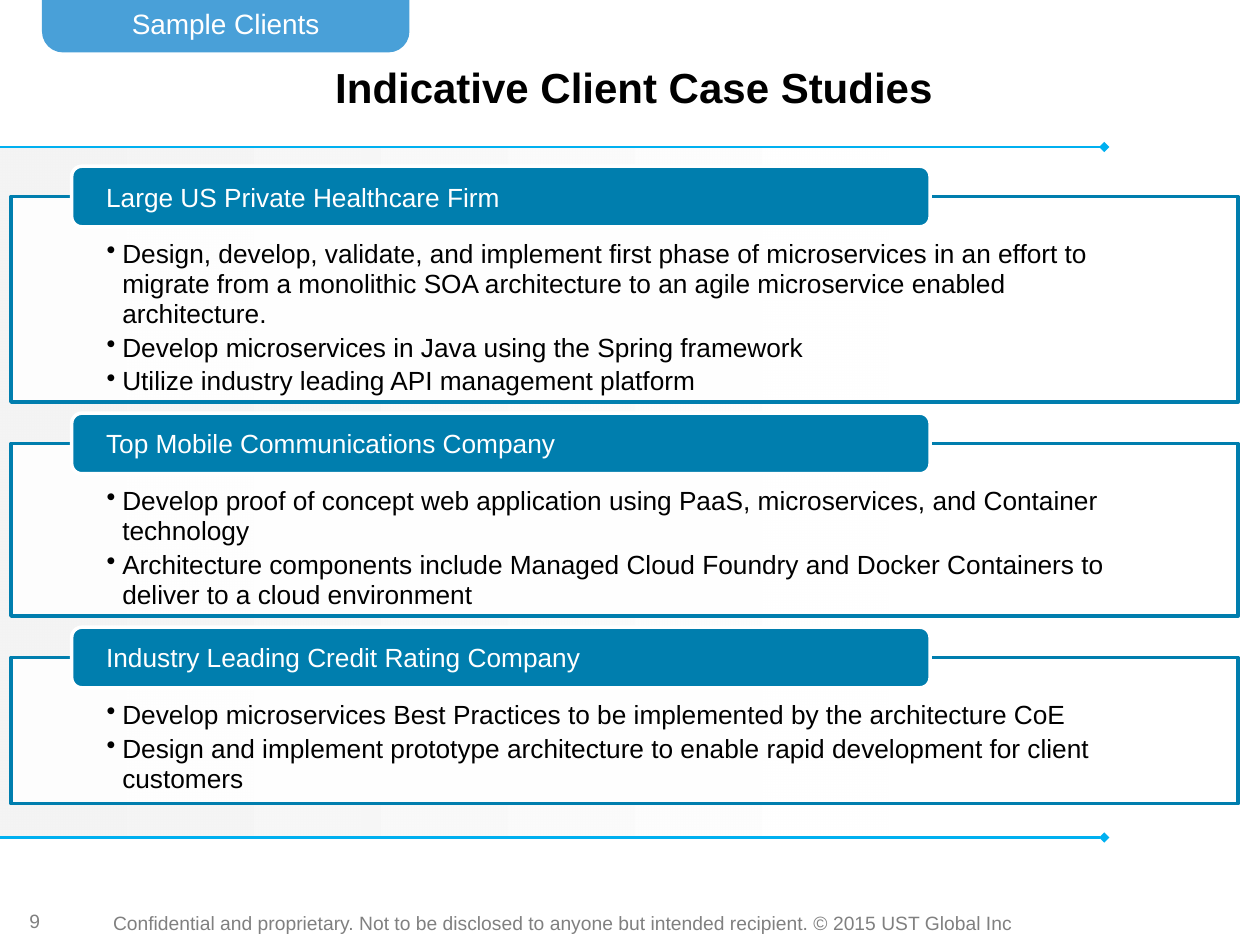
from dataclasses import dataclass
from lxml.etree import SubElement
from pptx import Presentation
from pptx.dml.color import RGBColor
from pptx.enum.shapes import MSO_CONNECTOR, MSO_SHAPE
from pptx.enum.text import MSO_ANCHOR, PP_ALIGN
from pptx.oxml.ns import qn
from pptx.slide import Slide
from pptx.util import Pt

COLORS = {
    "tab": "49A0D8", "rule": "00B0F0", "header": "007EAE", "shade": "F2F2F2",
    "white": "FFFFFF", "black": "000000", "muted": "808080",
}

SECTIONS = [
    (117.4, "Large US Private Healthcare Firm", [
        "Design, develop, validate, and implement first phase of microservices in an effort to "
        "migrate from a monolithic SOA architecture to an agile microservice enabled architecture.",
        "Develop microservices in Java using the Spring framework",
        "Utilize industry leading API management platform",
    ]),
    (98.6, "Top Mobile Communications Company", [
        "Develop proof of concept web application using PaaS, microservices, and Container technology",
        "Architecture components include Managed Cloud Foundry and Docker Containers to "
        "deliver to a cloud environment",
    ]),
    (83.5, "Industry Leading Credit Rating Company", [
        "Develop microservices Best Practices to be implemented by the architecture CoE",
        "Design and implement prototype architecture to enable rapid development for client customers",
    ]),
]


def rgb(name):
    return RGBColor.from_string(COLORS[name])


def set_alpha(color_parent, percent):
    for color in color_parent.iter(qn("a:srgbClr")):
        SubElement(color, qn("a:alpha"), val=str(percent * 1000))


@dataclass
class SlideBuilder:
    """Draws styled elements on the current slide, measured in points."""

    page: Slide
    font_name: str = "Arial"
    line_spacing: float = 0.95

    def style(self, para, size, color, bold=False):
        font = para.font
        font.name, font.size, font.bold = self.font_name, Pt(size), bold
        font.color.rgb = rgb(color)

    def shape(self, kind, left, top, width, height, fill=None, line=None):
        shape = self.page.shapes.add_shape(kind, Pt(left), Pt(top), Pt(width), Pt(height))
        shape.shadow.inherit = False
        if fill:
            shape.fill.solid()
            shape.fill.fore_color.rgb = rgb(fill)
        if line:
            shape.line.color.rgb = rgb(line)
            shape.line.width = Pt(2)
        else:
            shape.line.fill.background()
        return shape

    def label(self, shape, text, size, color, align=PP_ALIGN.LEFT, bold=False,
              inset=(7.2, 3.6), wrap=True, anchor=MSO_ANCHOR.MIDDLE):
        frame = shape.text_frame
        frame.word_wrap, frame.vertical_anchor = wrap, anchor
        frame.margin_left = frame.margin_right = Pt(inset[0])
        frame.margin_top = frame.margin_bottom = Pt(inset[1])
        para = frame.paragraphs[0]
        para.text, para.alignment = text, align
        self.style(para, size, color, bold)

    def text(self, left, top, width, height, *args, **options):
        box = self.page.shapes.add_textbox(Pt(left), Pt(top), Pt(width), Pt(height))
        self.label(box, *args, **options)

    def gradient_panel(self, left, top, width, height):
        panel = self.shape(MSO_SHAPE.RECTANGLE, left, top, width, height)
        panel.fill.gradient()
        panel.fill.gradient_angle = 0
        for stop, color in zip(panel.fill.gradient_stops, ("shade", "white")):
            stop.color.rgb = rgb(color)
        first_stop = next(panel.element.spPr.iter(qn("a:gs")))
        set_alpha(first_stop, 81)

    def rule(self, top, width):
        rule = self.page.shapes.add_connector(
            MSO_CONNECTOR.STRAIGHT, 0, Pt(top), Pt(width), Pt(top))
        rule.line.color.rgb = rgb("rule")
        rule.line.width = Pt(1.5)
        props = rule.element.spPr
        SubElement(props.find(qn("a:ln")), qn("a:tailEnd"), type="diamond")
        SubElement(props, qn("a:effectLst"))

    def bullets(self, shape, items):
        frame = shape.text_frame
        frame.word_wrap, frame.vertical_anchor = True, MSO_ANCHOR.TOP
        frame.margin_left = frame.margin_right = Pt(54.6)
        frame.margin_top, frame.margin_bottom = Pt(24.5), Pt(8.6)
        for index, item in enumerate(items):
            para = frame.add_paragraph() if index else frame.paragraphs[0]
            para.text, para.alignment = item, PP_ALIGN.LEFT
            props = para._p.get_or_add_pPr()
            props.set("marL", str(Pt(9)))
            props.set("indent", str(-Pt(9)))
            SubElement(props, qn("a:buChar"), char="•")
            para.line_spacing, para.space_after = self.line_spacing, Pt(2.25)
            self.style(para, 15, "black")

    def section(self, top, height, heading, items):
        body = self.shape(MSO_SHAPE.RECTANGLE, 6.3, top, 701.3, height, "white", "header")
        set_alpha(body.element.spPr.find(qn("a:solidFill")), 90)
        self.bullets(body, items)
        header = self.shape(MSO_SHAPE.ROUNDED_RECTANGLE, 41, top - 17.4, 490.5, 34.6,
                            "header", "white")
        self.label(header, heading, 15, "white", inset=(18, 0))


def main():
    deck = Presentation()
    deck.slide_width, deck.slide_height = Pt(720), Pt(540)
    builder = SlideBuilder(deck.slides.add_slide(deck.slide_layouts[6]))

    tab = builder.shape(MSO_SHAPE.ROUND_2_SAME_RECTANGLE, 24, 0, 210, 30, "tab")
    tab.adjustments[0], tab.adjustments[1] = 0, 0.4
    builder.label(tab, "Sample Clients", 16, "white", PP_ALIGN.CENTER)
    builder.text(30, 28.3, 664.6, 42, "Indicative Client Case Studies", 24, "black",
                 PP_ALIGN.CENTER, bold=True)

    builder.gradient_panel(0, 84, 508, 394.6)
    for top in (84, 478.6):
        builder.rule(top, 631)

    top, gap = 112.4, 23.7
    for height, heading, items in SECTIONS:
        builder.section(top, height, heading, items)
        top += height + gap

    builder.text(6.3, 519, 27, 14.4, "9", 11, "muted", PP_ALIGN.CENTER, inset=(0, 0))
    builder.text(57.5, 517, 536, 20.6,
                 "Confidential and proprietary. Not to be disclosed to anyone but intended "
                 "recipient. © 2015 UST Global Inc", 11, "muted",
                 wrap=False, anchor=MSO_ANCHOR.TOP)
    deck.save("out.pptx")


if __name__ == "__main__":
    main()
